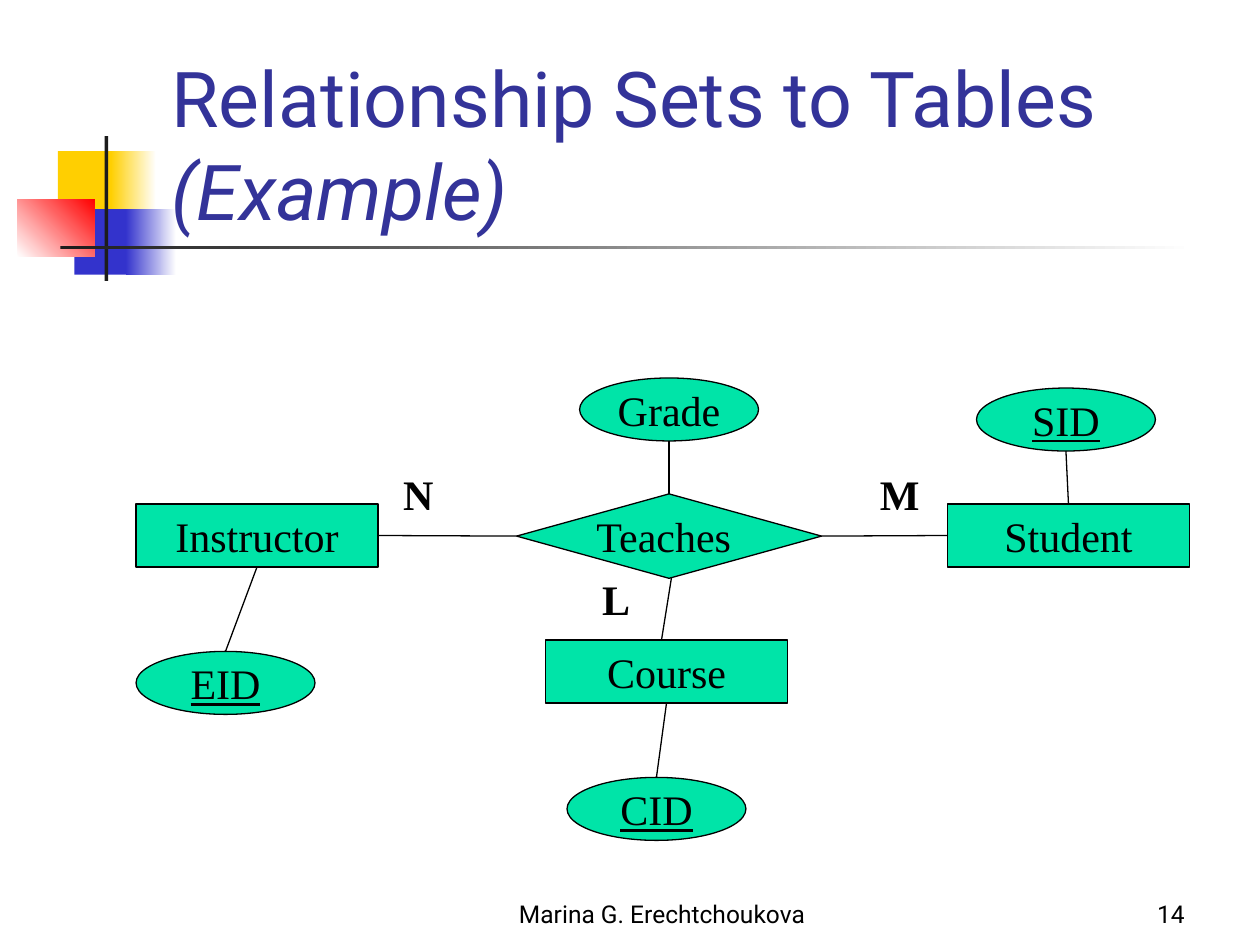
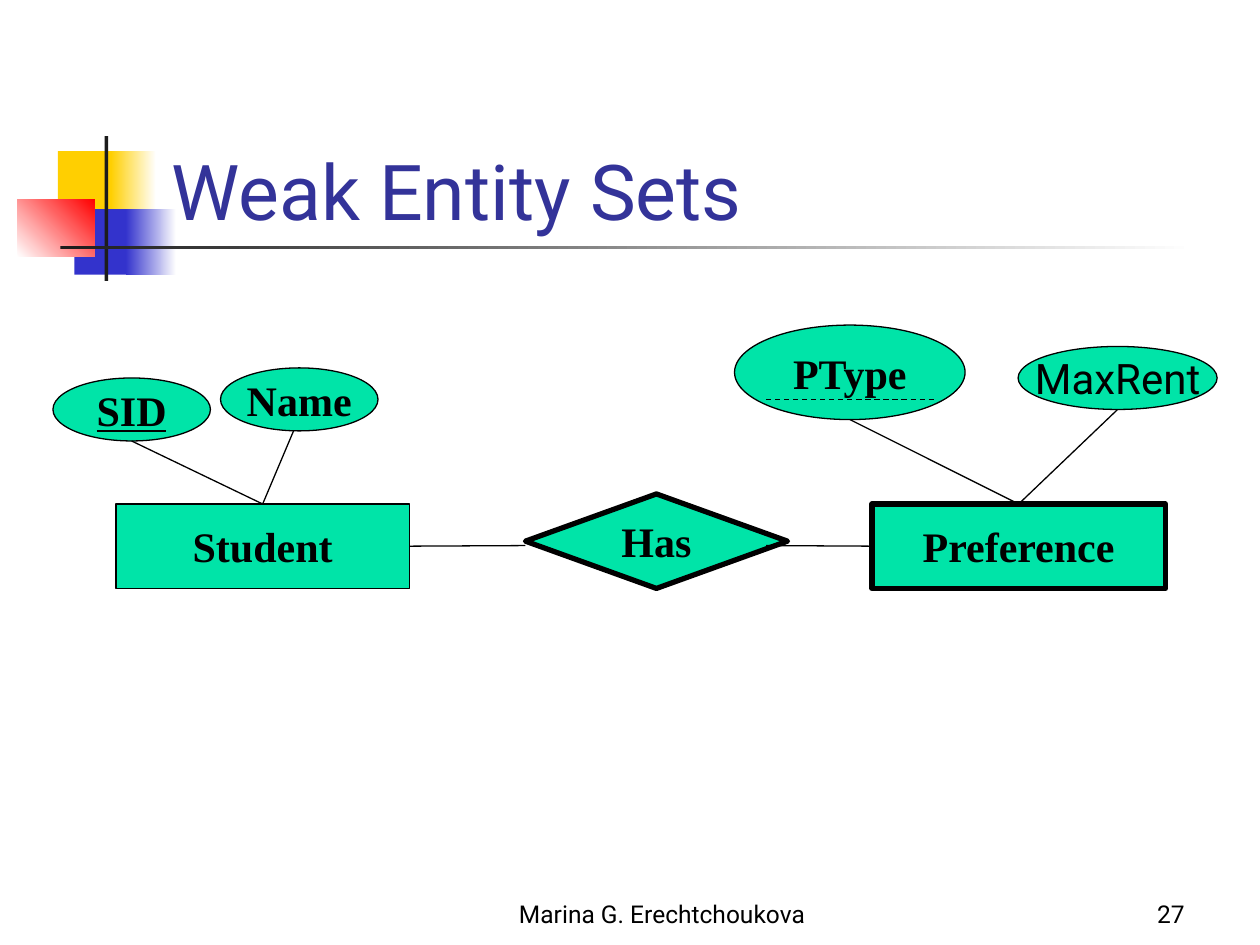
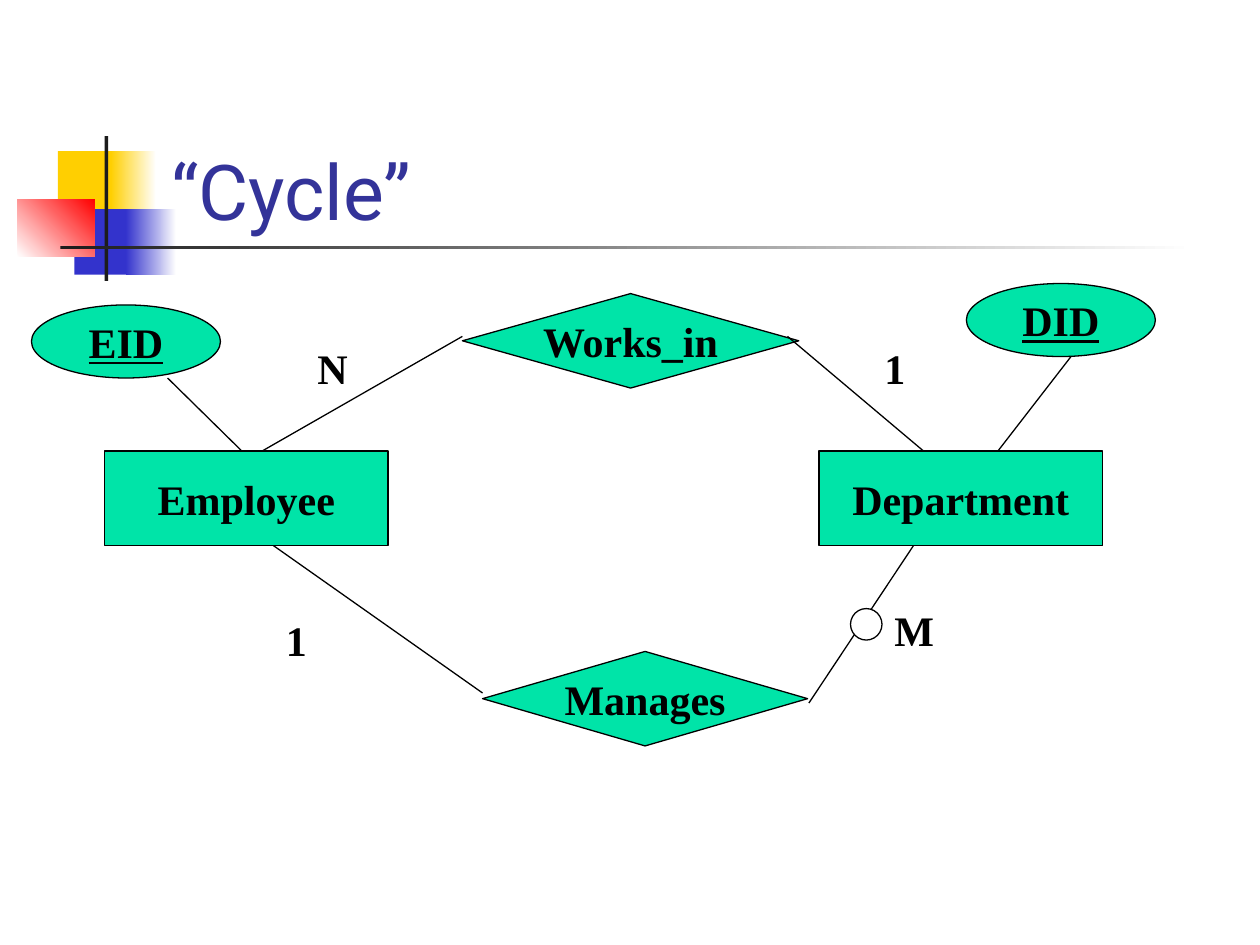
from lxml.etree import SubElement
from pptx import Presentation
from pptx.dml.color import RGBColor
from pptx.enum.dml import MSO_LINE
from pptx.enum.shapes import MSO_CONNECTOR, MSO_SHAPE
from pptx.enum.text import MSO_ANCHOR, MSO_AUTO_SIZE, PP_ALIGN
from pptx.oxml.ns import qn
from pptx.util import Inches, Pt

SANS, SERIF = "Roboto", "Times New Roman"
BLACK, WHITE, GREEN, TITLE_BLUE = "000000", "FFFFFF", "00E4A8", "333399"
YELLOW, BLUE, RED, DARK = "FFCF01", "3333CC", "FF0000", "1C1C1C"
THIN, THICK = 0.75, 3
AUTHOR = "Marina G. Erechtchoukova"

TITLE_BOX = (1.26, 0.67, 8.52, 1.25)
AUTHOR_BOX = (3.67, 6.92, 3.17, 0.5)
NUMBER_BOX = (7.42, 6.92, 2.08, 0.5)

# box, colours (two make a gradient), gradient angle
BAND = [
    ((0.46, 1.2, 0.48, 0.52), [YELLOW], 0),
    ((0.88, 1.2, 0.36, 0.52), [YELLOW, WHITE], 0),
    ((0.59, 1.66, 0.46, 0.52), [BLUE], 0),
    ((1, 1.66, 0.4, 0.52), [BLUE, WHITE], 0),
    ((0.14, 1.58, 0.61, 0.46), [WHITE, RED], 45),
    ((0.83, 1.08, 0.03, 1.15), [DARK], 0),
    ((0.48, 1.95, 9, 0.03), [DARK, WHITE], 0),
]

KINDS = {
    "entity": MSO_SHAPE.FLOWCHART_PROCESS,
    "relation": MSO_SHAPE.FLOWCHART_DECISION,
    "attribute": MSO_SHAPE.FLOWCHART_CONNECTOR,
    "oval": MSO_SHAPE.OVAL,
}
# position of each side's middle, in connection site order
SIDES = {"top": (0.5, 0), "left": (0, 0.5), "bottom": (0.5, 1), "right": (1, 0.5)}

# nodes: kind, text, box, style (b bold, u underlined), then options
# lines: two ends, each a point or a node with one of its sides
SLIDES = [
    {
        "title": [("Relationship Sets to Tables ", False), ("(Example)", True)],
        "number": "14",
        "nodes": [
            ("entity", "Instructor", (1.08, 4, 1.92, 0.5), "", {}),
            ("entity", "Student", (7.52, 4, 1.92, 0.5), "", {}),
            ("entity", "Course", (4.33, 5.08, 1.92, 0.5), "", {}),
            ("relation", "Teaches ", (4.1, 3.92, 2.42, 0.67), "", {}),
            ("attribute", "Grade", (4.6, 3, 1.42, 0.5), "", {}),
            ("attribute", "CID", (4.5, 6.17, 1.42, 0.5), "u", {}),
            ("attribute", "SID", (7.75, 3.08, 1.42, 0.5), "u", {}),
            ("attribute", "EID", (1.08, 5.17, 1.42, 0.5), "u", {}),
        ],
        "lines": [
            (("Instructor", "right"), ("Teaches", "left")),
            (("Grade", "bottom"), ("Teaches", "top")),
            (("Teaches", "right"), ("Student", "left")),
            (("EID", "top"), ("Instructor", "bottom")),
            (("CID", "top"), ("Course", "bottom")),
            (("SID", "bottom"), ("Student", "top")),
            ((5.33, 4.58), (5.25, 5.08)),
        ],
        "label_align": PP_ALIGN.CENTER,
        "labels": [
            ("N", (3.03, 3.67, 0.58, 0.5)),
            ("M", (6.85, 3.67, 0.58, 0.5)),
            ("L", (4.6, 4.5, 0.58, 0.5)),
        ],
    },
    {
        "title": [("Weak Entity Sets", False)],
        "number": "27",
        "nodes": [
            ("entity", "Student", (0.92, 4, 2.33, 0.67), "b", {}),
            ("entity", "Preference", (6.92, 4, 2.33, 0.67), "b", {"width": THICK}),
            ("relation", "Has", (4.17, 3.92, 2.08, 0.75), "b", {"width": THICK}),
            ("attribute", "SID", (0.42, 3, 1.25, 0.5), "bu", {}),
            ("attribute", "PType", (5.83, 2.58, 1.83, 0.75), "b", {}),
            ("attribute", "MaxRent", (8.08, 2.75, 1.58, 0.5), "", {"font": SANS}),
            ("attribute", "Name", (1.75, 2.92, 1.25, 0.5), "b", {}),
        ],
        "lines": [
            (("SID", "bottom"), ("Student", "top")),
            (("PType", "bottom"), ("Preference", "top")),
            (("MaxRent", "bottom"), ("Preference", "top")),
            (("Preference", "left"), (6.08, 4.33)),
            ((4.17, 4.33), ("Student", "right")),
            ((2.33, 3.42), ("Student", "top")),
        ],
        "dashes": [((6.08, 3.17), (7.42, 3.17))],
    },
    {
        "title": [("“Cycle”", False)],
        "nodes": [
            ("entity", "Employee", (0.83, 3.58, 2.25, 0.75), "b", {}),
            ("entity", "Department", (6.5, 3.58, 2.25, 0.75), "b", {}),
            ("relation", "Works_in", (3.67, 2.33, 2.67, 0.75), "b", {}),
            ("relation", "Manages", (3.83, 5.17, 2.58, 0.75), "b", {}),
            ("oval", "EID", (0.25, 2.42, 1.5, 0.58), "bu", {}),
            ("oval", "DID", (7.67, 2.25, 1.5, 0.58), "bu", {}),
        ],
        "lines": [
            ((1.33, 3), (1.92, 3.58)),
            ((8.5, 2.83), (7.92, 3.58)),
            ((3.67, 2.67), (2.08, 3.58)),
            ((6.25, 2.67), (7.33, 3.58)),
            ((3.83, 5.5), (2.17, 4.33)),
            ((6.42, 5.58), (7.25, 4.33)),
        ],
        "optional_mark": (6.75, 4.83, 0.25, 0.25),
        "label_align": PP_ALIGN.LEFT,
        "labels": [
            ("N", (2.42, 2.67, 0.5, 0.5)),
            ("1", (6.92, 2.67, 0.5, 0.5)),
            ("1", (2.17, 4.83, 0.5, 0.5)),
            ("M", (7, 4.75, 0.5, 0.5)),
        ],
    },
]


def rgb(hex_color):
    return RGBColor.from_string(hex_color)


def inches(values):
    return [Inches(v) for v in values]


def format_run(r, font, size, color=BLACK, style=""):
    r.font.name, r.font.size, r.font.color.rgb = font, Pt(size), rgb(color)
    r.font.bold, r.font.italic, r.font.underline = ("b" in style, "i" in style, "u" in style)


def write(sp, text, align, font, size, style="", anchor=MSO_ANCHOR.TOP, wrap=True):
    tf = sp.text_frame
    tf.text, tf.word_wrap, tf.vertical_anchor = text, wrap, anchor
    p = tf.paragraphs[0]
    p.alignment = align
    format_run(p.runs[0], font, size, style=style)


def add_text(slide, box, *args, **kwargs):
    write(slide.shapes.add_textbox(*inches(box)), *args, **kwargs)


def add_filled(slide, kind, box, colors, angle=0, width=None):
    sp = slide.shapes.add_shape(kind, *inches(box))
    sp.shadow.inherit = False
    if len(colors) == 1:
        sp.fill.solid()
        sp.fill.fore_color.rgb = rgb(colors[0])
    else:
        sp.fill.gradient()
        sp.fill.gradient_angle = angle
        for stop, color in zip(sp.fill.gradient_stops, colors):
            stop.color.rgb = rgb(color)
    if width:
        sp.line.color.rgb, sp.line.width = rgb(BLACK), Pt(width)
    else:
        sp.line.fill.background()
    return sp


def add_node(slide, kind, text, box, style, width=THIN, font=SERIF):
    sp = add_filled(slide, KINDS[kind], box, [GREEN], width=width)
    write(sp, text, PP_ALIGN.CENTER, font, 24, style, MSO_ANCHOR.MIDDLE, wrap=False)
    return sp


def end_point(end, nodes):
    if end[0] not in nodes:
        return inches(end)
    sp = nodes[end[0]]
    fx, fy = SIDES[end[1]]
    return [sp.left + int(sp.width * fx), sp.top + int(sp.height * fy)]


def add_line(slide, ends, nodes, dash=None):
    """Draw a line; ends on rectangles and diamonds are joined to them."""
    points = [end_point(end, nodes) for end in ends]
    line = slide.shapes.add_connector(MSO_CONNECTOR.STRAIGHT, *points[0], *points[1])
    line.line.color.rgb, line.line.width = rgb(BLACK), Pt(THIN)
    if dash:
        line.line.dash_style = dash
    SubElement(line.element.spPr, qn("a:effectLst"))
    joinable = (KINDS["entity"], KINDS["relation"])
    for end, connect in zip(ends, (line.begin_connect, line.end_connect)):
        sp = nodes.get(end[0])
        if sp is not None and sp.auto_shape_type in joinable:
            connect(sp, list(SIDES).index(end[1]))


def set_up_layout(layout, slide):
    """Place the title and move the band, drawn on a slide, to the layout."""
    title = next(ph for ph in layout.placeholders if ph.placeholder_format.idx == 0)
    title.left, title.top, title.width, title.height = inches(TITLE_BOX)
    for box, colors, angle in BAND:
        sp = add_filled(slide, MSO_SHAPE.RECTANGLE, box, colors, angle)
        layout.shapes.element.append(sp.element)


def set_title(slide, parts):
    tf = slide.shapes.title.text_frame
    tf.vertical_anchor, tf.auto_size = MSO_ANCHOR.BOTTOM, MSO_AUTO_SIZE.NONE
    p = tf.paragraphs[0]
    p.alignment = PP_ALIGN.LEFT
    for text, italic in parts:
        r = p.add_run()
        r.text = text
        format_run(r, SANS, 44, TITLE_BLUE, "i" if italic else "")


def add_footer(slide, number):
    for box, text, align in ((AUTHOR_BOX, AUTHOR, PP_ALIGN.CENTER),
                             (NUMBER_BOX, number, PP_ALIGN.RIGHT)):
        add_text(slide, box, text, align, SANS, 14, anchor=MSO_ANCHOR.BOTTOM)


def add_diagram(slide, data):
    nodes = {}
    for kind, text, box, style, options in data["nodes"]:
        nodes[text.strip()] = add_node(slide, kind, text, box, style, **options)
    for ends in data["lines"]:
        add_line(slide, ends, nodes)
    for ends in data.get("dashes", []):
        add_line(slide, ends, nodes, MSO_LINE.DASH)
    if "optional_mark" in data:
        add_filled(slide, MSO_SHAPE.OVAL, data["optional_mark"], [WHITE], width=THIN)
    for text, box in data.get("labels", []):
        add_text(slide, box, text, data["label_align"], SERIF, 24, "b")


def main():
    prs = Presentation()
    prs.slide_width, prs.slide_height = Inches(10), Inches(7.5)
    layout = prs.slide_layouts[5]
    for i, data in enumerate(SLIDES):
        slide = prs.slides.add_slide(layout)
        if i == 0:
            set_up_layout(layout, slide)
        set_title(slide, data["title"])
        if "number" in data:
            add_footer(slide, data["number"])
        add_diagram(slide, data)
    prs.save("out.pptx")


if __name__ == "__main__":
    main()
